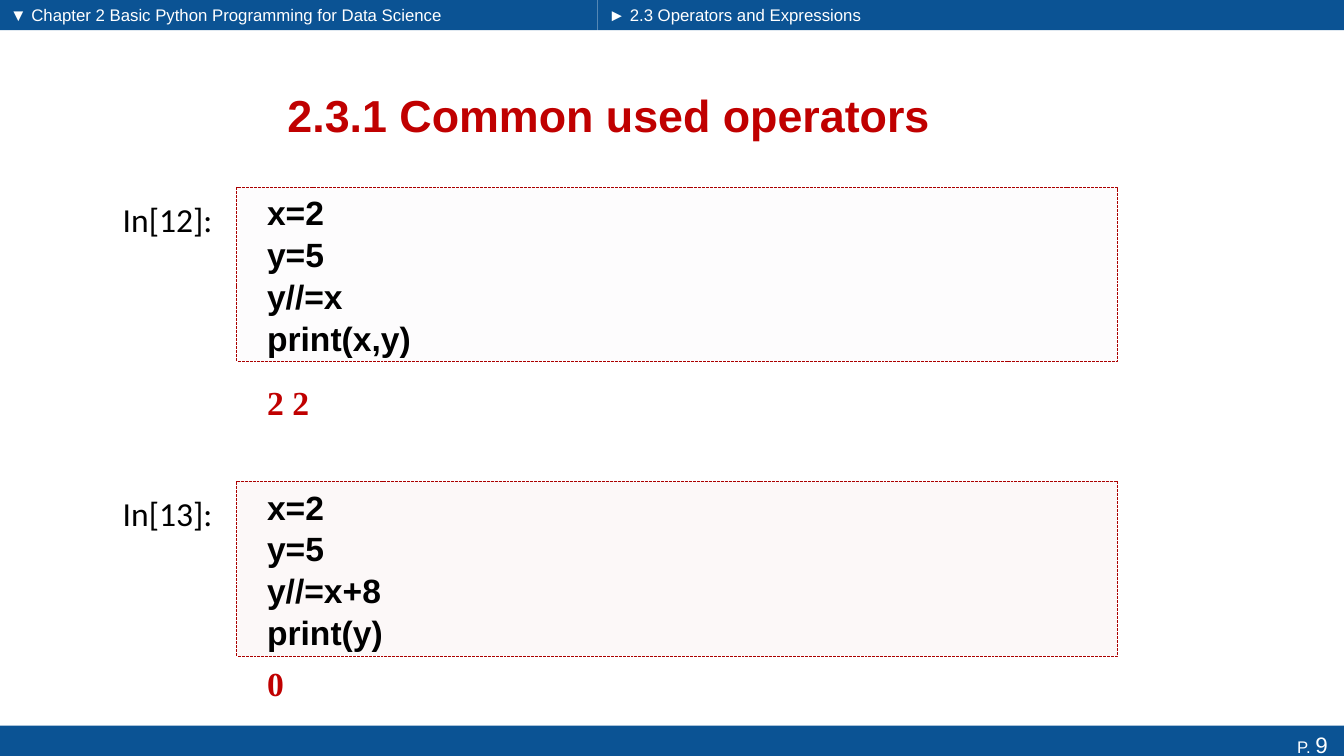
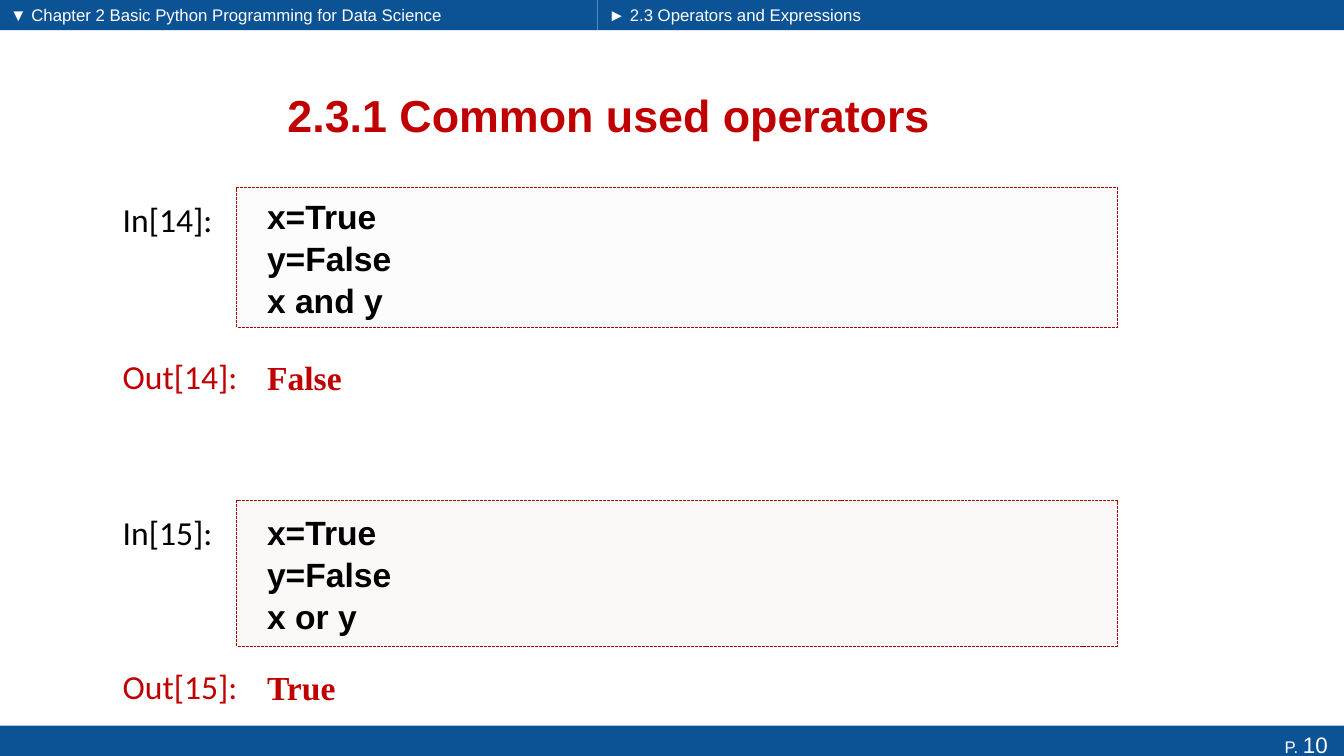
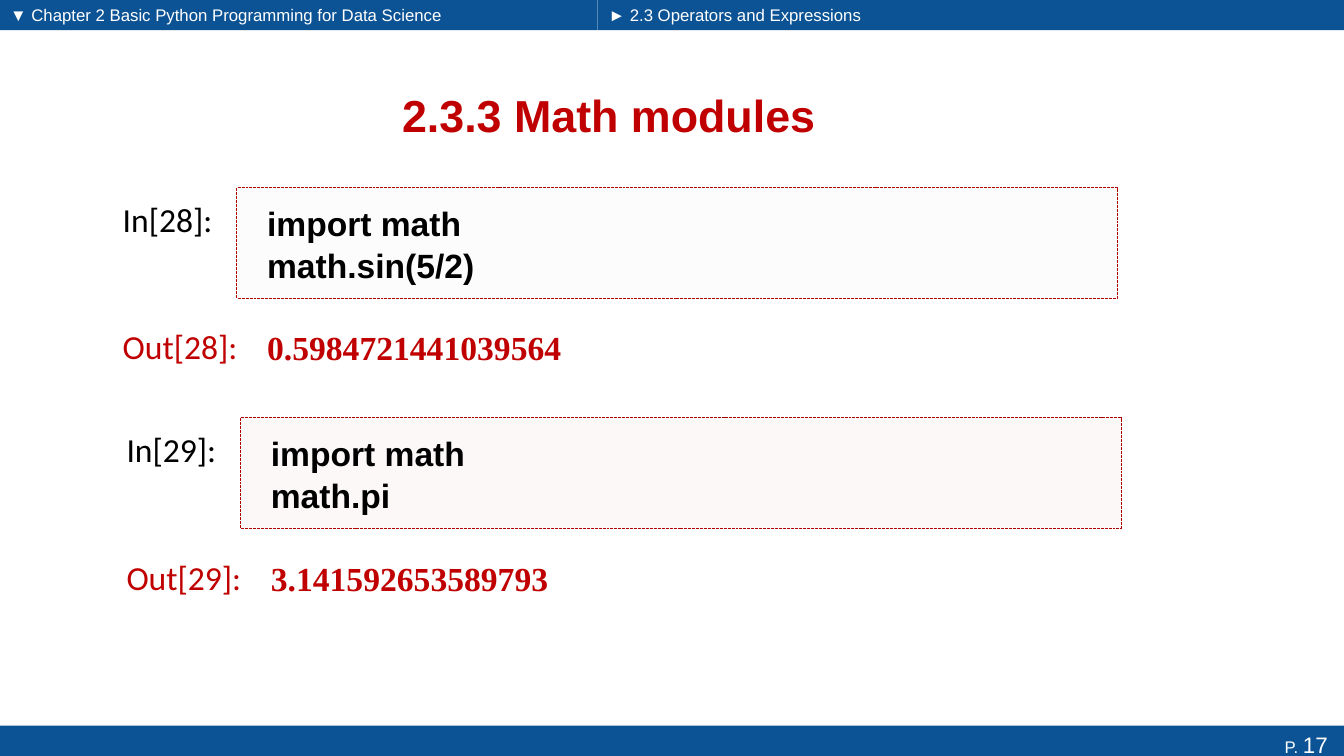
from dataclasses import dataclass

from lxml import etree
from pptx import Presentation
from pptx.dml.color import RGBColor
from pptx.enum.dml import MSO_LINE
from pptx.enum.shapes import MSO_SHAPE
from pptx.enum.text import MSO_ANCHOR, MSO_AUTO_SIZE, PP_ALIGN
from pptx.oxml.ns import qn
from pptx.util import Pt

RECTANGLE = MSO_SHAPE.RECTANGLE
SHORT_DASH = MSO_LINE.SQUARE_DOT
TOP, MIDDLE = MSO_ANCHOR.TOP, MSO_ANCHOR.MIDDLE
LEFT, CENTER, RIGHT = PP_ALIGN.LEFT, PP_ALIGN.CENTER, PP_ALIGN.RIGHT
NO_AUTOFIT = MSO_AUTO_SIZE.NONE

COLORS = {
    "band": "0B5394",
    "white": "FFFFFF",
    "black": "000000",
    "red": "C00000",
    "border": "AB0000",
    "first_cell": "F1EEF4",
    "second_cell": "EDCDCB",
}
SLIDE_W, SLIDE_H = 960, 540
BAND_H = 21.6
SPLIT_X = 427
TITLE_BOX = (49, 49, 772, 65)
CHAPTER_BOX = (0, 0, 348, BAND_H)
SECTION_BOX = (SPLIT_X + 0.5, 0, 200, BAND_H)
FOOTER_BOX = (0, SLIDE_H - BAND_H, SLIDE_W, BAND_H)
BAND_BOXES = [
    (0, 0, SPLIT_X, BAND_H),
    (SPLIT_X, 0, SLIDE_W - SPLIT_X, BAND_H),
    FOOTER_BOX,
]
CHAPTER = "▼ Chapter 2 Basic Python Programming for Data Science"
SECTION = "► 2.3 Operators and Expressions"

CELL_LEFT = 80.6
CODE_OFFSET = 88.6
CODE_W = 629
LABEL_DROP = 4.5
LABEL_W, LABEL_H = 100, 36
RESULT_H = 47


@dataclass
class Cell:
    number: int
    code: list
    result: str
    top: float
    height: float
    result_top: float
    left: float = CELL_LEFT
    has_out_label: bool = True


PAGES = [
    (9, "2.3.1 Common used operators", [
        Cell(12, ["x=2", "y=5", "y//=x", "print(x,y)"], "2 2",
             134, 124, 263.5, has_out_label=False),
        Cell(13, ["x=2", "y=5", "y//=x+8", "print(y)"], "0",
             343.7, 125, 464.4, has_out_label=False),
    ]),
    (10, "2.3.1 Common used operators", [
        Cell(14, ["x=True", "y=False", "x and y"], "False", 134, 100, 246.2),
        Cell(15, ["x=True", "y=False", "x or y"], "True", 357.5, 104, 467.4),
    ]),
    (17, "2.3.3 Math modules", [
        Cell(28, ["import math", "math.sin(5/2)"], "0.5984721441039564",
             134, 79, 224.6),
        Cell(29, ["import math", "math.pi"], "3.141592653589793",
             298.4, 79, 389.5, left=83.3),
    ]),
]


def rgb(name):
    return RGBColor.from_string(COLORS[name])


def points(box):
    return [Pt(length) for length in box]


def style(paragraph, font_name, size, color, bold=False, align=LEFT):
    paragraph.alignment = align
    paragraph.font.name = font_name
    paragraph.font.size = Pt(size)
    paragraph.font.bold = bold
    paragraph.font.color.rgb = rgb(color)


def write(shape, lines, font_name, size, color, bold=False, align=LEFT,
          anchor=TOP, left_inset=7.2, wrap=True, spacing=1.0):
    frame = shape.text_frame
    frame.text = "\n".join(lines)
    frame.word_wrap = wrap
    frame.auto_size = NO_AUTOFIT
    frame.vertical_anchor = anchor
    frame.margin_left = Pt(left_inset)
    for paragraph in frame.paragraphs:
        style(paragraph, font_name, size, color, bold, align)
        paragraph.space_before = Pt(0)
        paragraph.line_spacing = spacing


def add_rectangle(slide, box, color):
    rectangle = slide.shapes.add_shape(RECTANGLE, *points(box))
    rectangle.shadow.inherit = False
    rectangle.fill.solid()
    rectangle.fill.fore_color.rgb = rgb(color)
    rectangle.line.fill.background()
    return rectangle


def prepare_layout(layout, first_slide):
    boxes = {0: TITLE_BOX, 1: CHAPTER_BOX, 2: SECTION_BOX}
    for placeholder in list(layout.placeholders):
        box = boxes.get(placeholder.placeholder_format.idx)
        if box is None:
            layout.shapes.element.remove(placeholder.element)
        else:
            (placeholder.left, placeholder.top,
             placeholder.width, placeholder.height) = points(box)
    for box in BAND_BOXES:
        layout.shapes.element.append(
            add_rectangle(first_slide, box, "band").element)


def fill_breadcrumb(placeholder, text):
    write(placeholder, [text], "Arial", 12, "white")
    properties = placeholder.text_frame.paragraphs[0]._p.get_or_add_pPr()
    properties.set("marL", "0")
    properties.set("indent", "0")
    etree.SubElement(properties, qn("a:buNone"))
    defaults = properties.find(qn("a:defRPr"))
    if defaults is not None:
        properties.append(defaults)


def add_page_number(slide, number):
    footer = slide.shapes.add_textbox(*points(FOOTER_BOX))
    frame = footer.text_frame
    frame.word_wrap = True
    frame.margin_right = Pt(11.6)
    paragraph = frame.paragraphs[0]
    style(paragraph, "Arial", 12, "white", align=RIGHT)
    paragraph.add_run().text = "P. "
    page = paragraph.add_run()
    page.text = str(number)
    page.font.size = Pt(16)


def add_label(slide, left, top, text, color):
    label = slide.shapes.add_textbox(*points((left, top, LABEL_W, LABEL_H)))
    write(label, [text], "Calibri", 24, color, wrap=False)


def add_cell(slide, cell, fill):
    code_left = cell.left + CODE_OFFSET
    add_label(slide, cell.left, cell.top + LABEL_DROP,
              f"In[{cell.number}]:", "black")

    code = add_rectangle(
        slide, (code_left, cell.top, CODE_W, cell.height), fill)
    tint = code.element.spPr.find(qn("a:solidFill"))[0]
    etree.SubElement(tint, qn("a:alpha"), val="13000")
    code.line.color.rgb = rgb("border")
    code.line.width = Pt(0.7)
    code.line.dash_style = SHORT_DASH
    write(code, cell.code, "Arial", 24, "black", bold=True,
          anchor=MIDDLE, left_inset=21.6, spacing=1.04)

    if cell.has_out_label:
        add_label(slide, cell.left, cell.result_top + LABEL_DROP,
                  f"Out[{cell.number}]:", "red")
    result = slide.shapes.add_textbox(
        *points((code_left, cell.result_top, CODE_W, RESULT_H)))
    write(result, [cell.result], "Times New Roman", 24, "red", bold=True,
          anchor=MIDDLE, left_inset=21.6)


def build_page(slide, number, title, cells):
    write(slide.shapes.title, [title], "Arial", 32, "red", bold=True,
          align=CENTER, anchor=MIDDLE)
    fill_breadcrumb(slide.placeholders[1], CHAPTER)
    fill_breadcrumb(slide.placeholders[2], SECTION)
    for cell, fill in zip(cells, ("first_cell", "second_cell")):
        add_cell(slide, cell, fill)
    add_page_number(slide, number)


def main():
    deck = Presentation()
    deck.slide_width, deck.slide_height = Pt(SLIDE_W), Pt(SLIDE_H)
    layout = deck.slide_layouts.get_by_name("Two Content")
    slides = [deck.slides.add_slide(layout) for _ in PAGES]
    prepare_layout(layout, slides[0])
    for slide, page in zip(slides, PAGES):
        build_page(slide, *page)
    deck.save("out.pptx")


if __name__ == "__main__":
    main()
